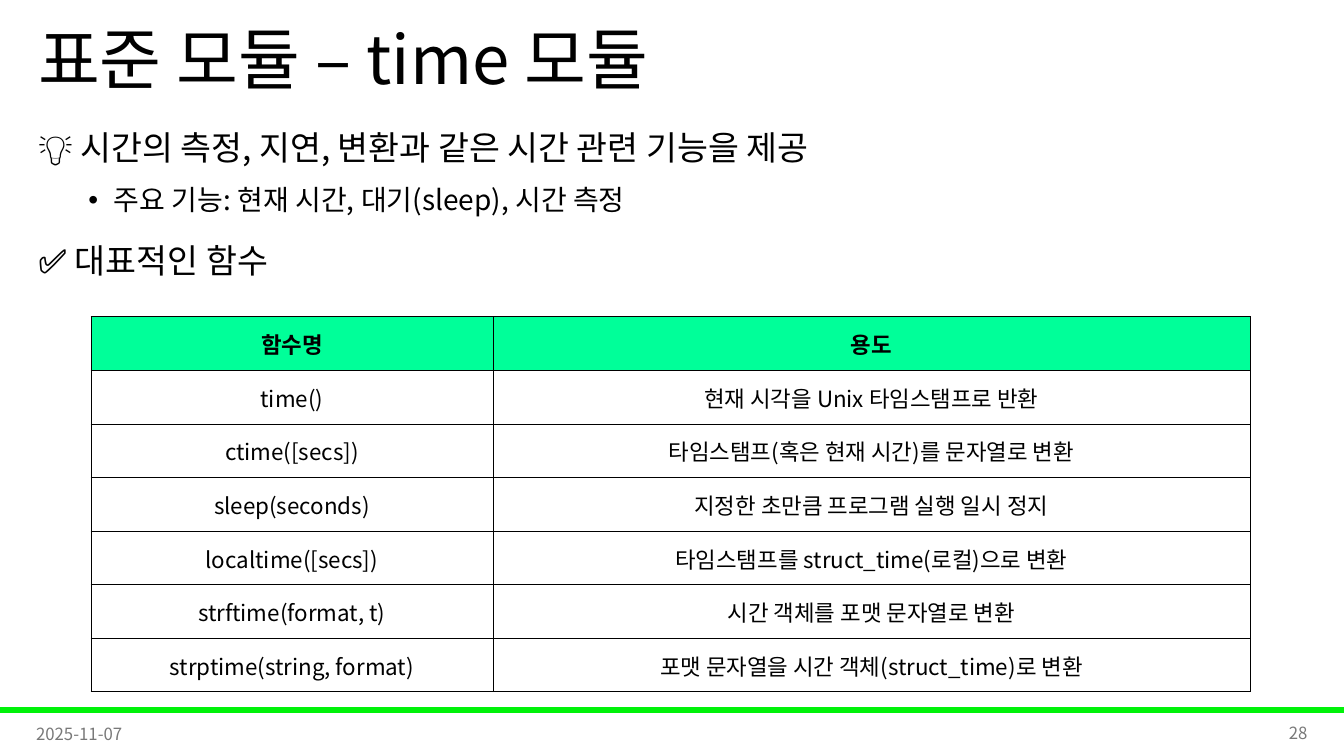
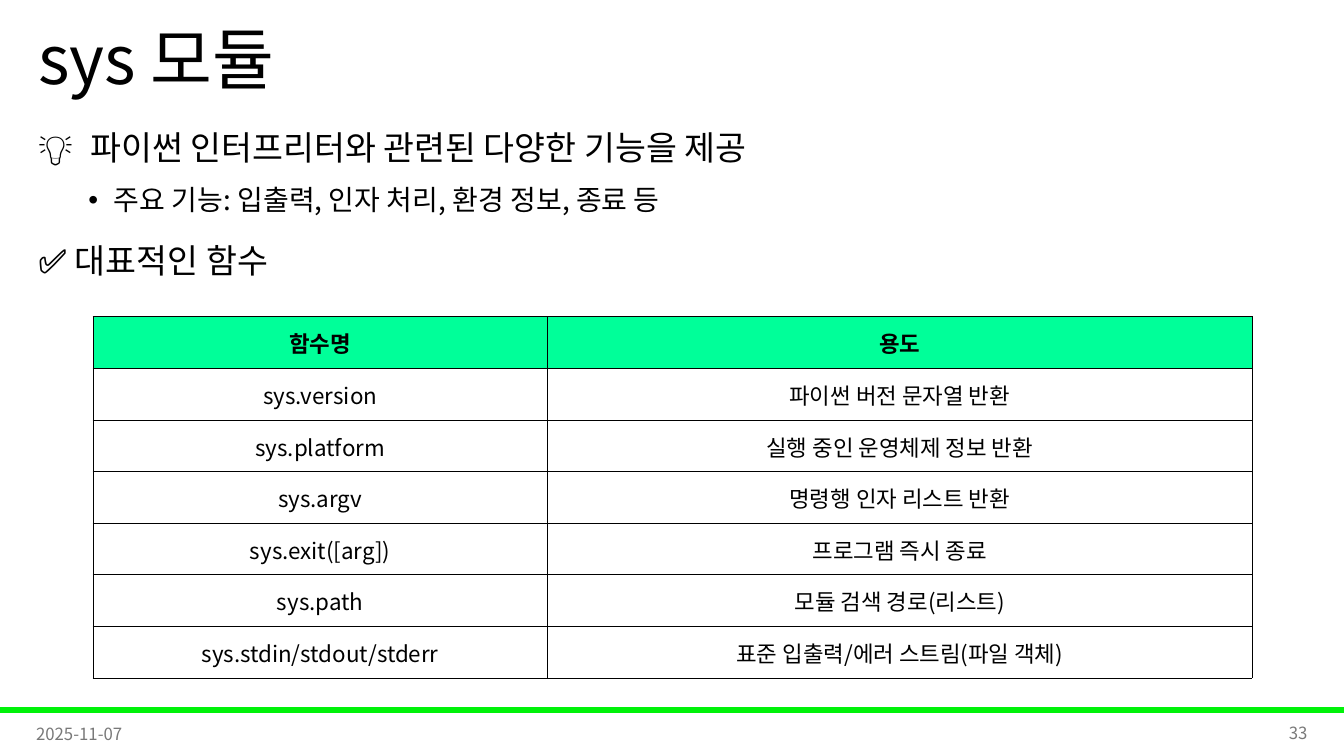
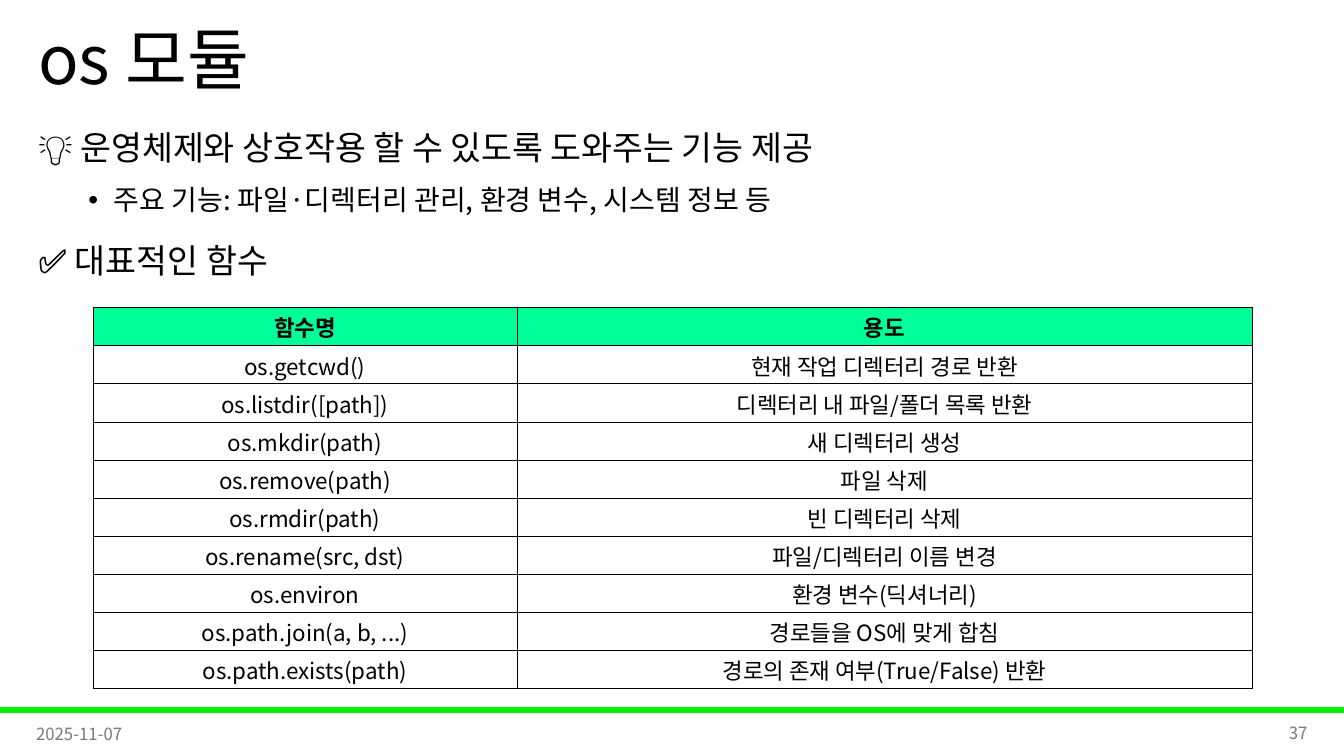
"""Build three slides that summarise Python standard modules."""
from dataclasses import dataclass

from lxml import etree
from pptx import Presentation
from pptx import util as u
from pptx.dml.color import RGBColor
from pptx.enum import shapes, text
from pptx.oxml.ns import qn

FONT = "Noto Sans CJK KR"
COLORS = {"ink": "000000", "muted": "797979", "band": "00F209", "header": "00FF99"}
DATE = "2025-11-07"
HEADER = ("함수명", "용도")
TABLE_WIDTH = 29.21


@dataclass(frozen=True)
class Style:
    size: int
    color: str = "ink"
    bold: bool = False
    align: text.PP_ALIGN = text.PP_ALIGN.LEFT
    spacing: float = 1.0
    before: int = 0
    bullet: bool = False


@dataclass(frozen=True)
class Area:
    left: float
    top: float
    width: float
    height: float

    def lengths(self) -> tuple[u.Length, ...]:
        return tuple(u.Cm(n) for n in (self.left, self.top, self.width, self.height))


@dataclass(frozen=True)
class Module:
    title: str
    number: int
    summary: str
    features: str
    left: float
    top: float
    name_width: float
    row_height: float
    functions: tuple[tuple[str, str], ...]


TITLE = Style(48, spacing=0.9)
SUMMARY = Style(24, spacing=1.3)
FEATURES = Style(20, spacing=1.3, before=4, bullet=True)
SECTION = Style(24, spacing=1.3, before=8)
DATE_STYLE = Style(12, "muted")
NUMBER_STYLE = Style(12, "muted", align=text.PP_ALIGN.RIGHT)
CELL = Style(16, align=text.PP_ALIGN.CENTER)
HEADER_CELL = Style(16, bold=True, align=text.PP_ALIGN.CENTER)

BAND_AREA = Area(0, 17.83, 33.87, 0.13)
TITLE_AREA = Area(0.71, 0, 29.21, 3.18)
BODY_AREA = Area(0.71, 2.77, 29.21, 5.21)
DATE_AREA = Area(0.66, 17.98, 7.62, 1.02)
NUMBER_AREA = Area(25.58, 17.96, 7.62, 1.02)

MODULES = (
    Module(
        "표준 모듈 – time 모듈", 28,
        "💡 시간의 측정, 지연, 변환과 같은 시간 관련 기능을 제공",
        "주요 기능: 현재 시간, 대기(sleep), 시간 측정",
        2.29, 7.98, 10.13, 1.35,
        (
            ("time()", "현재 시각을 Unix 타임스탬프로 반환"),
            ("ctime([secs])", "타임스탬프(혹은 현재 시간)를 문자열로 변환"),
            ("sleep(seconds)", "지정한 초만큼 프로그램 실행 일시 정지"),
            ("localtime([secs])", "타임스탬프를 struct_time(로컬)으로 변환"),
            ("strftime(format, t)", "시간 객체를 포맷 문자열로 변환"),
            ("strptime(string, format)", "포맷 문자열을 시간 객체(struct_time)로 변환"),
        ),
    ),
    Module(
        "sys 모듈", 33,
        "💡\t파이썬 인터프리터와 관련된 다양한 기능을 제공",
        "주요 기능: 입출력, 인자 처리, 환경 정보, 종료 등",
        2.34, 7.98, 11.46, 1.3,
        (
            ("sys.version", "파이썬 버전 문자열 반환"),
            ("sys.platform", "실행 중인 운영체제 정보 반환"),
            ("sys.argv", "명령행 인자 리스트 반환"),
            ("sys.exit([arg])", "프로그램 즉시 종료"),
            ("sys.path", "모듈 검색 경로(리스트)"),
            ("sys.stdin/stdout/stderr", "표준 입출력/에러 스트림(파일 객체)"),
        ),
    ),
    Module(
        "os 모듈", 37,
        "💡 운영체제와 상호작용 할 수 있도록 도와주는 기능 제공",
        "주요 기능: 파일·디렉터리 관리, 환경 변수, 시스템 정보 등",
        2.34, 7.75, 10.69, 0.96,
        (
            ("os.getcwd()", "현재 작업 디렉터리 경로 반환"),
            ("os.listdir([path])", "디렉터리 내 파일/폴더 목록 반환"),
            ("os.mkdir(path)", "새 디렉터리 생성"),
            ("os.remove(path)", "파일 삭제"),
            ("os.rmdir(path)", "빈 디렉터리 삭제"),
            ("os.rename(src, dst)", "파일/디렉터리 이름 변경"),
            ("os.environ", "환경 변수(딕셔너리)"),
            ("os.path.join(a, b, ...)", "경로들을 OS에 맞게 합침"),
            ("os.path.exists(path)", "경로의 존재 여부(True/False) 반환"),
        ),
    ),
)


def color(name: str) -> RGBColor:
    return RGBColor.from_string(COLORS[name])


def write(para, words: str, style: Style) -> None:
    props = para._p.get_or_add_pPr()
    if style.bullet:
        para.level = 1
        props.set("marL", str(u.Cm(1.91)))
        props.set("indent", str(-u.Cm(0.64)))
        etree.SubElement(props, qn("a:buFont"), typeface="Arial")
        etree.SubElement(props, qn("a:buChar"), char="•")
    if "\t" in words:
        tabs = etree.SubElement(props, qn("a:tabLst"))
        etree.SubElement(tabs, qn("a:tab"), pos=str(u.Cm(1.32)), algn="l")
    para.alignment = style.align
    para.line_spacing = style.spacing
    if style.before:
        para.space_before = u.Pt(style.before)
    span = para.add_run()
    span.text = words
    span.font.name = FONT
    span.font.size = u.Pt(style.size)
    span.font.bold = style.bold
    span.font.color.rgb = color(style.color)
    etree.SubElement(span._r.get_or_add_rPr(), qn("a:ea"), typeface=FONT)


def add_text(page, area: Area, lines: list[tuple[str, Style]],
             anchor: text.MSO_ANCHOR = text.MSO_ANCHOR.MIDDLE) -> None:
    frame = page.shapes.add_textbox(*area.lengths()).text_frame
    frame.word_wrap = True
    frame.vertical_anchor = anchor
    for index, (words, style) in enumerate(lines):
        para = frame.add_paragraph() if index else frame.paragraphs[0]
        write(para, words, style)


def add_band(page) -> None:
    band = page.shapes.add_shape(shapes.MSO_SHAPE.RECTANGLE, *BAND_AREA.lengths())
    band.shadow.inherit = False
    band.fill.solid()
    band.fill.fore_color.rgb = color("band")
    band.line.color.rgb = color("band")
    band.line.width = u.Pt(1)


def add_borders(cell) -> None:
    props = cell._tc.get_or_add_tcPr()
    for side in ("lnL", "lnR", "lnT", "lnB"):
        line = etree.SubElement(props, qn(f"a:{side}"), w=str(u.Pt(0.5)))
        fill = etree.SubElement(line, qn("a:solidFill"))
        etree.SubElement(fill, qn("a:srgbClr"), val=COLORS["ink"])


def fill_cell(cell, words: str, is_header: bool) -> None:
    add_borders(cell)
    if is_header:
        cell.fill.solid()
        cell.fill.fore_color.rgb = color("header")
    else:
        cell.fill.background()
    cell.margin_left = cell.margin_right = cell.margin_top = u.Cm(0.03)
    cell.margin_bottom = 0
    cell.vertical_anchor = text.MSO_ANCHOR.MIDDLE
    write(cell.text_frame.paragraphs[0], words, HEADER_CELL if is_header else CELL)


def add_functions(page, module: Module) -> None:
    rows = (HEADER, *module.functions)
    area = Area(module.left, module.top, TABLE_WIDTH, module.row_height * len(rows))
    table = page.shapes.add_table(len(rows), len(HEADER), *area.lengths()).table
    table.horz_banding = False
    table.columns[0].width = u.Cm(module.name_width)
    table.columns[1].width = u.Cm(TABLE_WIDTH - module.name_width)
    for row_index, row in enumerate(rows):
        table.rows[row_index].height = u.Cm(module.row_height)
        for column_index, words in enumerate(row):
            fill_cell(table.cell(row_index, column_index), words, row_index == 0)


def add_page(deck, module: Module) -> None:
    page = deck.slides.add_slide(deck.slide_layouts[6])
    add_band(page)
    add_text(page, TITLE_AREA, [(module.title, TITLE)])
    add_text(page, DATE_AREA, [(DATE, DATE_STYLE)])
    add_text(page, NUMBER_AREA, [(str(module.number), NUMBER_STYLE)])
    body = [(module.summary, SUMMARY), (module.features, FEATURES),
            ("✅ 대표적인 함수", SECTION)]
    add_text(page, BODY_AREA, body, text.MSO_ANCHOR.TOP)
    add_functions(page, module)


def main() -> None:
    deck = Presentation()
    deck.slide_width = u.Cm(33.87)
    deck.slide_height = u.Cm(19.05)
    for module in MODULES:
        add_page(deck, module)
    deck.save("out.pptx")


if __name__ == "__main__":
    main()
